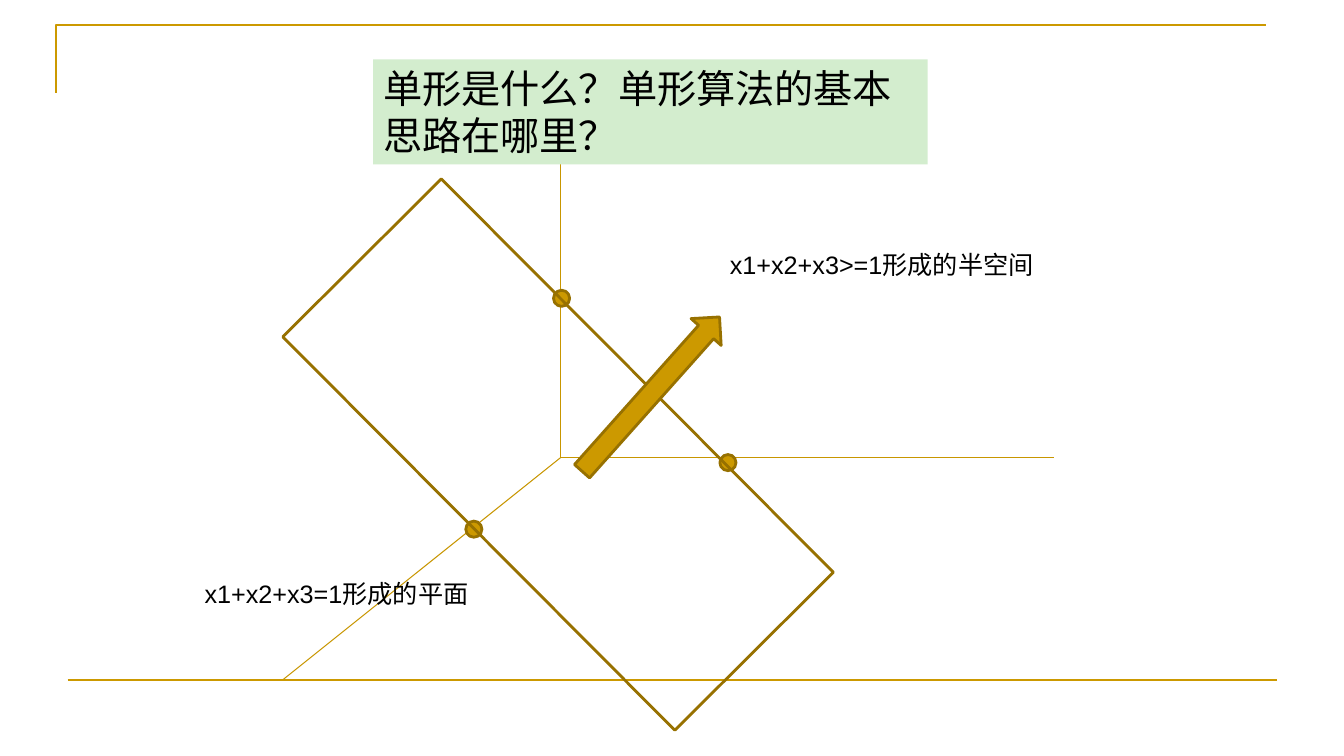
import pptx
import pptx.util
import pptx.dml.color
import pptx.enum.shapes
import pptx.enum.text
import pptx.oxml
from dataclasses import dataclass

Inches = pptx.util.Inches
MSO_SHAPE = pptx.enum.shapes.MSO_SHAPE


@dataclass(frozen=True)
class Theme:
    font: str = "Arial"
    text: str = "000000"
    gold: str = "CC9900"
    axis: str = "C89600"
    outline: str = "977100"
    title_fill: str = "D3EDCE"
    title_size: int = 28
    label_size: int = 18
    frame_width: float = 1.5
    axis_width: float = 0.75
    outline_width: float = 2


def rgb(value):
    return pptx.dml.color.RGBColor.from_string(value)


class SlideBuilder:
    def __init__(self, s, theme):
        self.s, self.theme = s, theme

    def stroke(self, sp, color, width):
        sp.line.color.rgb = rgb(color)
        sp.line.width = pptx.util.Pt(width)

    def set_text(self, sp, text, size):
        tf = sp.text_frame
        tf.word_wrap = True
        tf.auto_size = pptx.enum.text.MSO_AUTO_SIZE.SHAPE_TO_FIT_TEXT
        tf.vertical_anchor = pptx.enum.text.MSO_ANCHOR.TOP
        p = tf.paragraphs[0]
        p.alignment = pptx.enum.text.PP_ALIGN.LEFT
        r = p.add_run()
        r.text = text
        r.font.name = self.theme.font
        r.font.size = pptx.util.Pt(size)
        r.font.color.rgb = rgb(self.theme.text)

    def title(self, text, left, top, width, height):
        sp = self.s.shapes.title
        sp.left, sp.top = Inches(left), Inches(top)
        sp.width, sp.height = Inches(width), Inches(height)
        sp.fill.solid()
        sp.fill.fore_color.rgb = rgb(self.theme.title_fill)
        self.set_text(sp, text, self.theme.title_size)
        # The title covers the top of the vertical axis
        self.s.shapes.element.append(sp.element)

    def label(self, text, left, top, width, height):
        sp = self.s.shapes.add_textbox(*map(Inches, (left, top, width, height)))
        self.set_text(sp, text, self.theme.label_size)

    def line(self, start, end, color, width):
        sp = self.s.shapes.add_connector(
            pptx.enum.shapes.MSO_CONNECTOR.STRAIGHT, *map(Inches, start + end))
        self.stroke(sp, color, width)
        sp.element.spPr.append(pptx.oxml.parse_xml(
            '<a:effectLst xmlns:a="http://schemas.openxmlformats.org/drawingml/2006/main"/>'))

    def corner(self, points):
        start, *rest = [tuple(map(Inches, point)) for point in points]
        builder = self.s.shapes.build_freeform(*start)
        builder.add_line_segments(rest, close=False)
        sp = builder.convert_to_shape()
        sp.shadow.inherit = False
        sp.fill.background()
        self.stroke(sp, self.theme.gold, self.theme.frame_width)

    def shape(self, kind, left, top, width, height, fill=None, rotation=0):
        sp = self.s.shapes.add_shape(kind, *map(Inches, (left, top, width, height)))
        sp.shadow.inherit = False
        sp.rotation = rotation
        if fill:
            sp.fill.solid()
            sp.fill.fore_color.rgb = rgb(fill)
        else:
            sp.fill.background()
        self.stroke(sp, self.theme.outline, self.theme.outline_width)


def main():
    prs = pptx.Presentation()
    prs.slide_width, prs.slide_height = Inches(13.33), Inches(7.5)
    theme = Theme()
    slide = SlideBuilder(prs.slides.add_slide(prs.slide_layouts[5]), theme)

    # Page frame
    slide.corner([(0.56, 0.92), (0.56, 0.25), (12.56, 0.25)])
    slide.line((0.67, 6.75), (12.67, 6.75), theme.gold, theme.frame_width)

    # Coordinate axes
    origin = (5.56, 4.54)
    for axis_end in [(10.45, 4.54), (5.56, 0.6), (2.81, 6.74)]:
        slide.line(origin, axis_end, theme.axis, theme.axis_width)

    # Points where the plane meets the axes
    dot = 0.16
    for left, top in [(5.49, 2.88), (4.62, 5.17), (7.14, 4.51)]:
        slide.shape(MSO_SHAPE.OVAL, left, top, dot, dot, theme.gold)

    # Plane, and the arrow into its half-space
    slide.shape(MSO_SHAPE.RECTANGLE, 2.78, 3.4, 5.51, 2.22, rotation=45.1)
    slide.label("x1+x2+x3=1形成的平面", 1.93, 5.69, 2.85, 0.4)
    slide.shape(MSO_SHAPE.RIGHT_ARROW, 5.43, 3.71, 2.05, 0.4, theme.gold, 311.7)
    slide.label("x1+x2+x3>=1形成的半空间", 7.14, 2.42, 3.25, 0.4)

    # Title
    slide.title("单形是什么？单形算法的基本思路在哪里？", 3.7, 0.59, 5.5, 1.04)

    prs.save("out.pptx")


if __name__ == "__main__":
    main()
